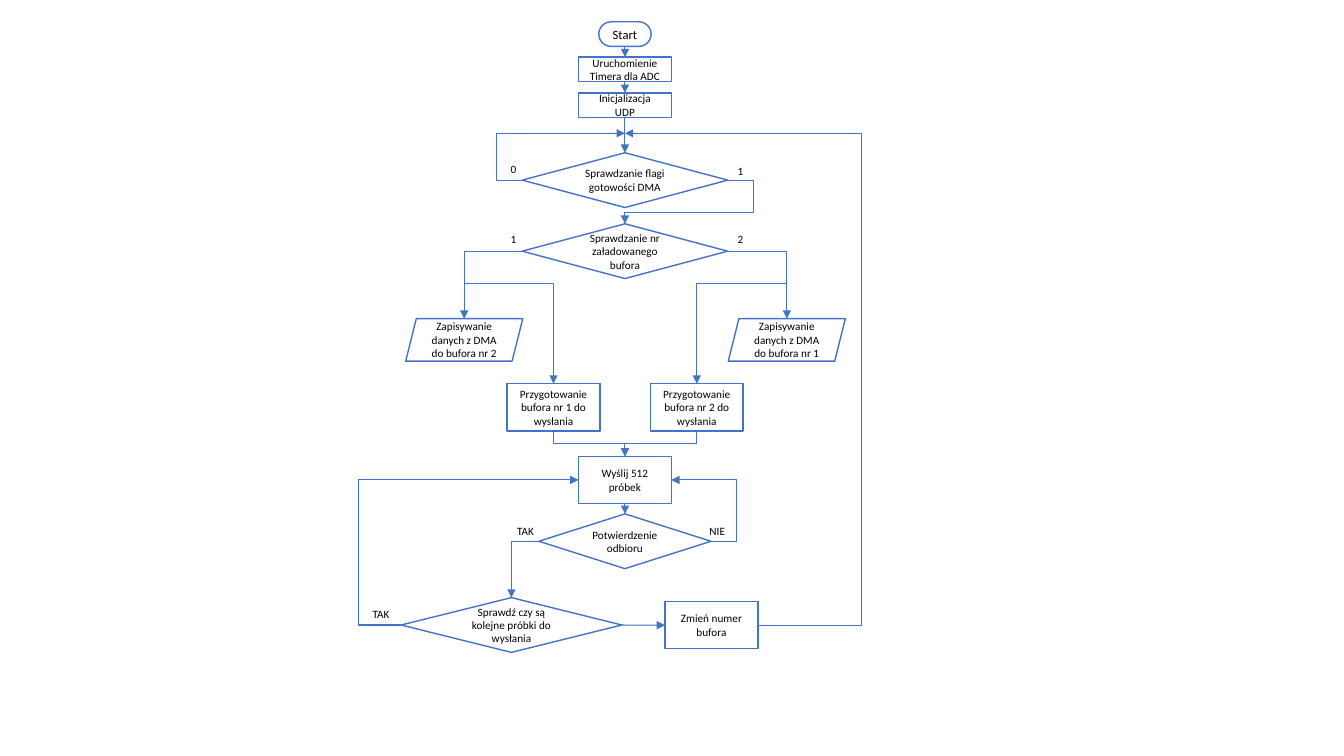
from collections import namedtuple

from lxml.etree import SubElement
from pptx import Presentation
from pptx.dml.color import RGBColor
from pptx.enum.shapes import MSO_CONNECTOR as Link, MSO_SHAPE as Shape
from pptx.enum.text import MSO_ANCHOR as Anchor, PP_ALIGN as Align
from pptx.oxml.ns import qn
from pptx.util import Cm, Pt

COLORS = {"fill": "FFFFFF", "line": "4472C4", "text": "000000"}
TOP, LEFT, BOTTOM, RIGHT = range(4)
STEP_W, STEP_H = 2.34, 1.19
CHOICE_W, CHOICE_H = 5.18, 1.38
Port = namedtuple("Port", "x y shape side", defaults=(None, None))


def color(name):
    return RGBColor.from_string(COLORS[name])


def write(box, text, size=8, align=Align.LEFT, anchor=Anchor.TOP, wrap=False):
    frame = box.text_frame
    frame.word_wrap = wrap
    frame.vertical_anchor = anchor
    para = frame.paragraphs[0]
    para.alignment = align
    span = para.add_run()
    span.text = text
    span.font.name = "Calibri"
    span.font.size = Pt(size)
    span.font.color.rgb = color("text")


def block(page, text, center, top, width=STEP_W, height=STEP_H, kind=Shape.RECTANGLE, size=8):
    box = page.shapes.add_shape(kind, Cm(center - width / 2), Cm(top), Cm(width), Cm(height))
    box.shadow.inherit = False
    box.fill.solid()
    box.fill.fore_color.rgb = color("fill")
    box.line.color.rgb = color("line")
    box.line.width = Pt(1)
    write(box, text, size=size, align=Align.CENTER, anchor=Anchor.MIDDLE, wrap=True)
    return box


def decision(page, text, center, top, width=CHOICE_W):
    return block(page, text, center, top, width, CHOICE_H, Shape.FLOWCHART_DECISION)


def label(page, text, left, top, width=0.55):
    box = page.shapes.add_textbox(Cm(left), Cm(top), Cm(width), Cm(0.6))
    write(box, text)


def point(x, y):
    return Port(Cm(x), Cm(y))


def port(shape, side):
    across = {LEFT: 0, RIGHT: 1}.get(side, 0.5)
    down = {TOP: 0, BOTTOM: 1}.get(side, 0.5)
    return Port(int(shape.left + shape.width * across),
                int(shape.top + shape.height * down), shape, side)


def arrow(page, begin, end, kind=Link.STRAIGHT):
    line = page.shapes.add_connector(kind, begin.x, begin.y, end.x, end.y)
    if begin.shape is not None:
        line.begin_connect(begin.shape, begin.side)
    if end.shape is not None:
        line.end_connect(end.shape, end.side)
    line.line.color.rgb = color("line")
    line.line.width = Pt(0.75)
    props = line._element.spPr
    SubElement(props.find(qn("a:ln")), qn("a:tailEnd"), type="triangle")
    SubElement(props, qn("a:effectLst"))
    return line


def elbow(page, begin, end, turn_x=None, turn_y=None):
    line = arrow(page, begin, end, Link.ELBOW)
    dx, dy = end.x - begin.x, end.y - begin.y
    props = line._element.spPr
    frame, geometry = props.find(qn("a:xfrm")), props.find(qn("a:prstGeom"))
    for name in ("rot", "flipH", "flipV"):
        frame.attrib.pop(name, None)
    upright = turn_x is None and turn_y is not None
    width, height = (abs(dy), abs(dx)) if upright else (abs(dx), abs(dy))
    line.left = (begin.x + end.x - width) // 2
    line.top = (begin.y + end.y - height) // 2
    line.width, line.height = width, height
    if upright:
        frame.set("rot", "5400000")
    if not upright and dx < 0:
        frame.set("flipH", "1")
    if (upright and dx > 0) or (not upright and dy < 0):
        frame.set("flipV", "1")
    bends = []
    if turn_x is not None:
        bends.append((Cm(turn_x) - begin.x) / dx)
    if turn_y is not None:
        bends.append((Cm(turn_y) - begin.y) / dy)
    geometry.set("prst", f"bentConnector{2 + len(bends)}")
    guides = geometry.find(qn("a:avLst"))
    for number, bend in enumerate(bends, 1):
        SubElement(guides, qn("a:gd"), name=f"adj{number}", fmla=f"val {round(bend * 100000)}")


def setup_steps(page, center, top):
    start = block(page, "Start", center, top, 1.32, 0.62, Shape.ROUNDED_RECTANGLE, 9)
    start.adjustments[0] = 0.5
    timer = block(page, "Uruchomienie Timera dla ADC", center, top + 0.89, height=0.62)
    network = block(page, "Inicjalizacja UDP", center, top + 1.79, height=0.62)
    arrow(page, port(start, BOTTOM), port(timer, TOP))
    arrow(page, port(timer, BOTTOM), port(network, TOP))
    return network


def ready_check(page, center, top, network):
    ready = decision(page, "Sprawdzanie flagi gotowości DMA", center, top)
    join = point(center, top - 0.49)
    arrow(page, port(network, BOTTOM), port(ready, TOP))
    elbow(page, port(ready, LEFT), join, turn_x=center - 3.23)
    label(page, "0", center - 3.13, top + 0.12)
    label(page, "1", center + 2.59, top + 0.16)
    return ready, join


def buffer_choice(page, center, top, ready):
    choice = decision(page, "Sprawdzanie nr załadowanego bufora", center, top)
    elbow(page, port(ready, RIGHT), port(choice, TOP), turn_x=center + 3.23, turn_y=top - 0.28)
    prepared = []
    for side, sign, number, other, save_gap, prep_gap, tag_gap in (
            (LEFT, -1, 1, 2, 4.05, 1.8, -3.13), (RIGHT, 1, 2, 1, 4.08, 1.81, 2.59)):
        save_x, prep_x = center + sign * save_gap, center + sign * prep_gap
        save = block(page, f"Zapisywanie danych z DMA do bufora nr {other}",
                     save_x, top + 2.39, 2.95, 1.07, Shape.PARALLELOGRAM)
        prep = block(page, f"Przygotowanie bufora nr {number} do wysłania", prep_x, top + 4.03)
        elbow(page, port(choice, side), Port(*port(save, TOP)[:2]))
        elbow(page, point(save_x, top + 1.52), port(prep, TOP), turn_y=top + 1.51)
        label(page, str(number), center + tag_gap, top + 0.08)
        prepared.append(prep)
    return prepared


def sending_loop(page, center, top, prepared, join):
    send = block(page, "Wyślij 512 próbek", center, top)
    for prep in prepared:
        elbow(page, port(prep, BOTTOM), port(send, TOP), turn_y=top - 0.32)
    confirm = decision(page, "Potwierdzenie odbioru", center, top + 1.45, 4.34)
    arrow(page, port(send, BOTTOM), port(confirm, TOP))
    elbow(page, port(confirm, RIGHT), port(send, RIGHT), turn_x=center + 2.82)
    label(page, "NIE", center + 1.88, top + 1.58, 0.97)
    more = decision(page, "Sprawdź czy są kolejne próbki do wysłania",
                    center - 2.86, top + 3.56, 5.56)
    elbow(page, port(confirm, LEFT), port(more, TOP))
    label(page, "TAK", center - 2.97, top + 1.58, 0.97)
    elbow(page, port(more, LEFT), port(send, LEFT), turn_x=center - 6.72)
    label(page, "TAK", center - 6.61, top + 3.69, 0.97)
    change = block(page, "Zmień numer bufora", center + 2.18, top + 3.66)
    arrow(page, port(more, RIGHT), port(change, LEFT))
    elbow(page, port(change, RIGHT), join, turn_x=center + 5.97)


def main():
    deck = Presentation()
    deck.slide_width, deck.slide_height = Cm(33.87), Cm(19.05)
    page = deck.slides.add_slide(deck.slide_layouts[6])
    center = 15.75
    network = setup_steps(page, center, 0.55)
    ready, join = ready_check(page, center, 3.85, network)
    prepared = buffer_choice(page, center, 5.64, ready)
    sending_loop(page, center, 11.5, prepared, join)
    deck.save("out.pptx")


if __name__ == "__main__":
    main()
